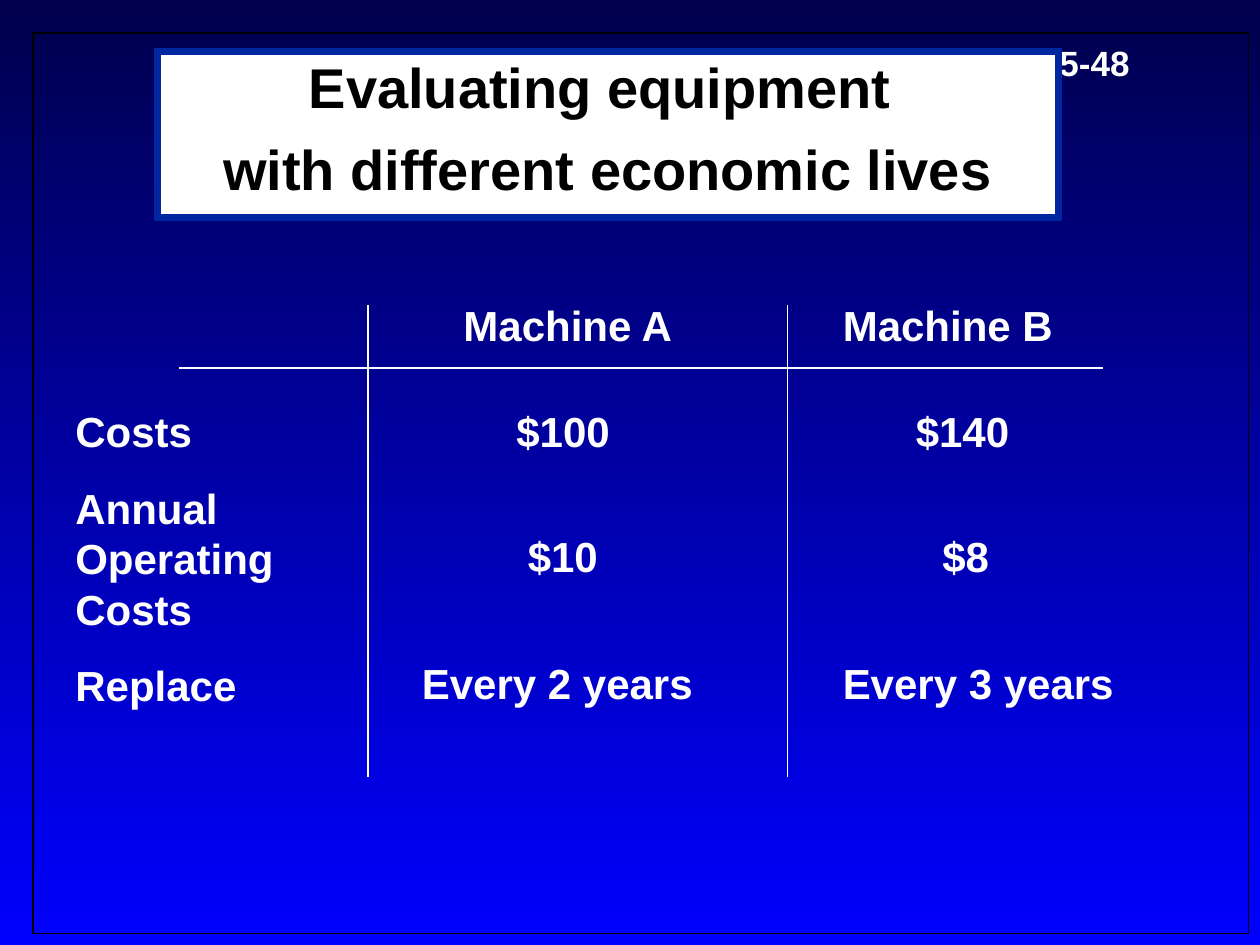
from dataclasses import dataclass

from pptx import Presentation
from pptx.dml.color import RGBColor
from pptx.enum.shapes import MSO_CONNECTOR, MSO_SHAPE
from pptx.enum.text import MSO_ANCHOR, MSO_AUTO_SIZE, PP_ALIGN
from pptx.oxml.ns import qn
from pptx.util import Inches, Pt

RECTANGLE = MSO_SHAPE.RECTANGLE
STRAIGHT = MSO_CONNECTOR.STRAIGHT
LEFT, CENTER = PP_ALIGN.LEFT, PP_ALIGN.CENTER
TOP = MSO_ANCHOR.TOP
GROW = MSO_AUTO_SIZE.SHAPE_TO_FIT_TEXT


@dataclass(frozen=True)
class Theme:
    font: str = "Arial"
    white: RGBColor = RGBColor(255, 255, 255)
    black: RGBColor = RGBColor(0, 0, 0)
    title_border: RGBColor = RGBColor(0x00, 0x27, 0x9F)
    background_top: RGBColor = RGBColor(0, 0, 0x4C)
    background_bottom: RGBColor = RGBColor(0, 0, 255)
    title_size: int = 32
    body_size: int = 24
    number_size: int = 20


@dataclass(frozen=True)
class Cell:
    text: str
    left: float
    top: float
    width: float


@dataclass(frozen=True)
class Rule:
    start: tuple[float, float]
    end: tuple[float, float]


THEME = Theme()
HEADER_TOP, COST_TOP, OPERATING_TOP, REPLACE_TOP = 2.33, 3.17, 4.16, 5.17
RULE_TOP, RULE_BOTTOM = 2.42, 6.17

RULES = [Rule((x, RULE_TOP), (x, RULE_BOTTOM)) for x in (2.92, 6.25)]
RULES.append(Rule((1.42, 2.92), (8.75, 2.92)))

CELLS = [
    Cell("Machine A", 3.58, HEADER_TOP, 2),
    Cell("Machine B", 6.59, HEADER_TOP, 1.95),
    Cell("$100", 4, COST_TOP, 1.17),
    Cell("$140", 7.17, COST_TOP, 1),
    Cell("$10", 4.09, OPERATING_TOP, 0.82),
    Cell("$8", 7.38, OPERATING_TOP, 0.62),
    Cell("Every 2 years", 3.25, REPLACE_TOP, 2.5),
    Cell("Every 3 years", 6.59, REPLACE_TOP, 2.42),
]


def write_text(shape, text: str, *, size: int = THEME.body_size,
               color: RGBColor = THEME.white, align=LEFT,
               before: float = 0, line_spacing: float = 1,
               margin: float = 0.05) -> None:
    frame = shape.text_frame
    frame.text = text
    frame.word_wrap = True
    frame.auto_size = GROW
    frame.vertical_anchor = TOP
    frame.margin_left = frame.margin_right = Inches(0.1)
    frame.margin_top = frame.margin_bottom = Inches(margin)
    for paragraph in frame.paragraphs:
        paragraph.alignment = align
        paragraph.space_before = Pt(before)
        paragraph.line_spacing = line_spacing
        for run in paragraph.runs:
            run.font.name = THEME.font
            run.font.size = Pt(size)
            run.font.bold = True
            run.font.color.rgb = color


def add_text(slide, text: str, left: float, top: float, width: float,
             height: float, **text_format) -> None:
    box = slide.shapes.add_textbox(
        Inches(left), Inches(top), Inches(width), Inches(height))
    write_text(box, text, **text_format)


def add_rectangle(slide, left: float, top: float, width: float, height: float,
                  border: RGBColor, border_width: float):
    shape = slide.shapes.add_shape(
        RECTANGLE, Inches(left), Inches(top), Inches(width), Inches(height))
    shape.shadow.inherit = False
    shape.fill.background()
    shape.line.color.rgb = border
    shape.line.width = Pt(border_width)
    outline = shape._element.spPr.find(qn("a:ln"))
    outline.append(outline.makeelement(qn("a:miter"), {"lim": "800000"}))
    return shape


def add_rule(slide, rule: Rule) -> None:
    connector = slide.shapes.add_connector(
        STRAIGHT, *map(Inches, rule.start + rule.end))
    connector.line.color.rgb = THEME.white
    connector.line.width = Pt(0.74)
    properties = connector._element.spPr
    properties.append(properties.makeelement(qn("a:effectLst"), {}))


def paint_background(slide) -> None:
    fill = slide.background.fill
    fill.gradient()
    fill.gradient_angle = 270
    colors = (THEME.background_top, THEME.background_bottom)
    for position, (stop, color) in enumerate(zip(fill.gradient_stops, colors)):
        stop.position = position
        stop.color.rgb = color


def add_title(slide) -> None:
    title = add_rectangle(slide, 1.25, 0.41, 7.15, 1.32, THEME.title_border, 4)
    title.fill.solid()
    title.fill.fore_color.rgb = THEME.white
    write_text(title, "Evaluating equipment \nwith different economic lives",
               size=THEME.title_size, color=THEME.black, align=CENTER,
               before=20, line_spacing=0.7, margin=0.15)


def main() -> None:
    presentation = Presentation()
    presentation.slide_width = Inches(10)
    presentation.slide_height = Inches(7.5)
    slide = presentation.slides.add_slide(presentation.slide_layouts[6])
    paint_background(slide)
    add_rectangle(slide, 0.26, 0.26, 9.65, 7.15, THEME.black, 1)
    add_text(slide, "5-48", 8.31, 0.28, 1.8, 0.43,
             size=THEME.number_size)
    for rule in RULES:
        add_rule(slide, rule)
    add_text(slide, "Costs\nAnnual Operating Costs\nReplace",
             0.5, COST_TOP, 2.17, 2.52, before=15)
    for cell in CELLS:
        add_text(slide, cell.text, cell.left, cell.top, cell.width, 0.5)
    add_title(slide)
    presentation.save("out.pptx")


main()
